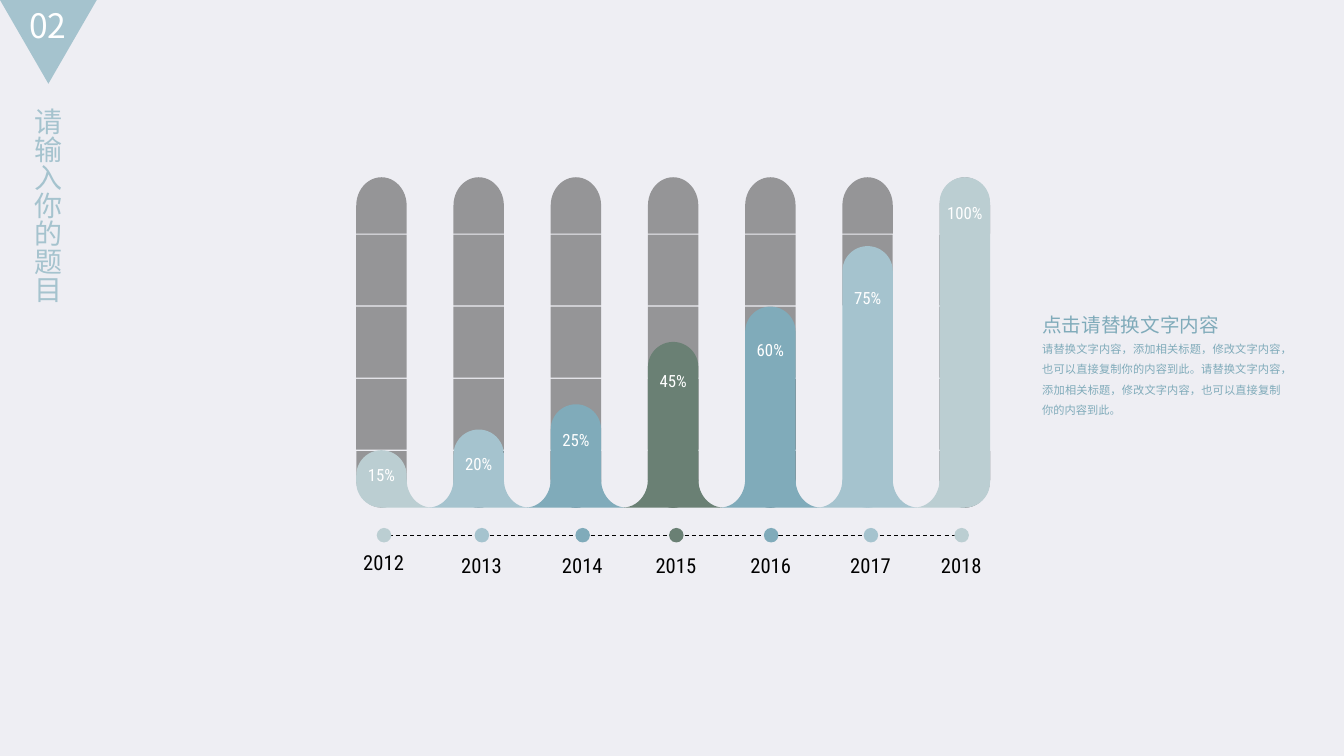
import math
from dataclasses import dataclass

import pptx
import pptx.dml.color
import pptx.enum.dml
import pptx.enum.shapes
import pptx.enum.text
import pptx.oxml
import pptx.oxml.ns
import pptx.util

Pt = pptx.util.Pt
MSO = pptx.enum.shapes.MSO_SHAPE
ALIGN = pptx.enum.text.PP_ALIGN
qn = pptx.oxml.ns.qn


@dataclass(frozen=True)
class Theme:
    background: str = "EEEEF3"
    track: str = "3E3E3D"
    white: str = "FFFFFF"
    black: str = "000000"
    pale: str = "BBCED2"
    light: str = "A5C3CE"
    blue: str = "80ABBA"
    green: str = "6A8074"
    cjk: str = "Noto Sans CJK SC"
    digits: str = "Roboto Condensed"
    body: str = "Arial"
    number_size: float = 24
    title_size: float = 20
    year_size: float = 14.7
    heading_size: float = 14
    percent_size: float = 12
    body_size: float = 8


T = Theme()
BAR_W = 36
CAP_H = 40.3
SEGMENT_H = 50.6
SEGMENT_PITCH = 51.5
FOOT_H = 20


@dataclass(frozen=True)
class Year:
    name: str
    percent: str
    color: str
    height: float
    label_y: float
    dot_x: float
    segments: int = 3
    base: bool = True


YEARS = [
    Year("2012", "15%", T.pale, 41, 201.6, 20),
    Year("2013", "20%", T.light, 55.8, 193.7, 89.9),
    Year("2014", "25%", T.blue, 73.8, 177.1, 161.9),
    Year("2015", "45%", T.green, 118.4, 134.6, 228.8),
    Year("2016", "60%", T.blue, 143.6, 112.3, 296.5),
    Year("2017", "75%", T.light, 186.8, 75.6, 367.8, 1, False),
    Year("2018", "100%", T.pale, 236, 14.4, 432.6),
]


def rgb(value):
    return pptx.dml.color.RGBColor.from_string(value)


def paint(sp, color, alpha=100):
    sp.shadow.inherit = False
    sp.fill.solid()
    sp.fill.fore_color.rgb = rgb(color)
    sp.line.fill.background()
    if alpha < 100:
        clr = sp.fill._xPr.find(qn("a:solidFill"))[0]
        pptx.oxml.xmlchemy.OxmlElement
        node = clr.makeelement(qn("a:alpha"), {"val": str(alpha * 1000)})
        clr.append(node)


def add_shape(shapes, kind, x, y, w, h, color, alpha=100, rotation=0):
    sp = shapes.add_shape(kind, Pt(x), Pt(y), Pt(w), Pt(h))
    sp.rotation = rotation
    paint(sp, color, alpha)
    return sp


def style_run(r, size, font, color):
    r.font.size = Pt(size)
    r.font.name = font
    r.font.color.rgb = rgb(color)
    rPr = r._r.get_or_add_rPr()
    ea = rPr.makeelement(qn("a:ea"), {"typeface": font})
    rPr.find(qn("a:latin")).addnext(ea)


def add_text(shapes, x, y, w, h, text, size, font, color, align=ALIGN.LEFT, wrap=True):
    sp = shapes.add_textbox(Pt(x), Pt(y), Pt(w), Pt(h))
    tf = sp.text_frame
    tf.word_wrap = wrap
    tf.auto_size = pptx.enum.text.MSO_AUTO_SIZE.SHAPE_TO_FIT_TEXT
    tf.text = text
    for p in tf.paragraphs:
        p.alignment = align
        for r in p.runs:
            style_run(r, size, font, color)
    return sp


def add_header(s, x, y, w, h):
    shapes = s.shapes.add_group_shape().shapes
    add_shape(shapes, MSO.ISOSCELES_TRIANGLE, x, y, w, h, T.light, rotation=180)
    add_text(shapes, x + 13.7, y, 50.4, 36, "02", T.number_size, T.cjk, T.white)
    sp = add_text(s.shapes, x + 10.8, y + 69.8, 38.9, 148.3, "请输入你的题目",
                  T.title_size, T.cjk, T.light, wrap=False)
    sp.text_frame._txBody.find(qn("a:bodyPr")).set("vert", "eaVert")


def add_foot(shapes, center, bottom, side, color):
    top = bottom - FOOT_H
    outer = center + side * BAR_W
    points = [(center, bottom), (outer, bottom)]
    for step in range(13):
        angle = math.pi / 2 * (1 - step / 12)
        points.append((outer - side * BAR_W / 2 * math.cos(angle),
                       top + FOOT_H * math.sin(angle)))
    builder = shapes.build_freeform(Pt(center), Pt(top))
    builder.add_line_segments([(Pt(px), Pt(py)) for px, py in points])
    paint(builder.convert_to_shape(), color)


def add_column(shapes, x, y, h, year, sides):
    center, bottom = x + BAR_W / 2, y + h
    bar_top = bottom - year.height
    cap_x = center - CAP_H / 2
    cap_dy = (CAP_H - BAR_W) / 2

    def opacity(top):
        return 100 if top > bar_top + 1 else 50

    add_shape(shapes, MSO.FLOWCHART_DELAY, cap_x, y + cap_dy, CAP_H, BAR_W,
              T.track, opacity(y), 270)
    for i in range(year.segments):
        top = y + 41 + i * SEGMENT_PITCH
        add_shape(shapes, MSO.RECTANGLE, x, top, BAR_W, SEGMENT_H, T.track, opacity(top))
    if year.base:
        top = bottom - CAP_H
        add_shape(shapes, MSO.FLOWCHART_DELAY, cap_x, top + cap_dy, CAP_H, BAR_W,
                  T.track, opacity(top), 90)
    for side in sides:
        add_foot(shapes, center, bottom, side, year.color)
    bar = add_shape(shapes, MSO.ROUNDED_RECTANGLE, x, bar_top, BAR_W, year.height, year.color)
    bar.adjustments[0] = 0.5
    add_text(shapes, center - 32, y + year.label_y, 64, 21.6, year.percent,
             T.percent_size, T.digits, T.white, ALIGN.CENTER)


def add_columns(s, x, y, w, h):
    shapes = s.shapes.add_group_shape().shapes
    last = len(YEARS) - 1
    pitch = (w - BAR_W) / last
    for i, year in enumerate(YEARS):
        sides = [side for side in (1, -1) if 0 <= i + side <= last]
        add_column(shapes, x + i * pitch, y, h, year, sides)


def add_timeline(s, x, y, w):
    shapes = s.shapes.add_group_shape().shapes
    axis = shapes.add_connector(pptx.enum.shapes.MSO_CONNECTOR.STRAIGHT,
                                Pt(x + 18), Pt(y), Pt(x + w - 22), Pt(y))
    axis.line.color.rgb = rgb(T.black)
    axis.line.width = Pt(0.75)
    axis.line.dash_style = pptx.enum.dml.MSO_LINE.DASH
    spPr = axis._element.spPr
    spPr.append(spPr.makeelement(qn("a:effectLst"), {}))
    for i, year in enumerate(YEARS):
        center = x + year.dot_x
        add_shape(shapes, MSO.OVAL, center - 5.2, y - 5.2, 10.4, 10.4, year.color)
        add_text(shapes, center - 30.5, y + (9.2 if i else 7.2), 60.5, 25.2, year.name,
                 T.year_size, T.digits, T.black, ALIGN.CENTER)


def add_caption(s, x, y, w, h):
    text = ("点击请替换文字内容\n请替换文字内容，添加相关标题，修改文字内容，也可以直接复制你的内容到此。"
            "请替换文字内容，添加相关标题，修改文字内容，也可以直接复制你的内容到此。")
    sp = add_text(s.shapes, x, y, w, h, text, T.heading_size, T.body, T.blue, ALIGN.JUSTIFY)
    tf = sp.text_frame
    tf.margin_left = tf.margin_top = tf.margin_right = tf.margin_bottom = 0
    p = tf.paragraphs[1]
    p.line_spacing = 1.5
    p.runs[0].font.size = Pt(T.body_size)


def main():
    prs = pptx.Presentation()
    prs.slide_width, prs.slide_height = Pt(960), Pt(540)
    s = prs.slides.add_slide(prs.slide_layouts[6])
    s.background.fill.solid()
    s.background.fill.fore_color.rgb = rgb(T.background)
    add_header(s, 0, 0, 69.1, 59.8)
    add_columns(s, 254.5, 126.6, 452.7, 236)
    add_timeline(s, 254.3, 382.3, 456.7)
    add_caption(s, 744.5, 223.2, 170.6, 74.9)
    prs.save("out.pptx")


if __name__ == "__main__":
    main()
